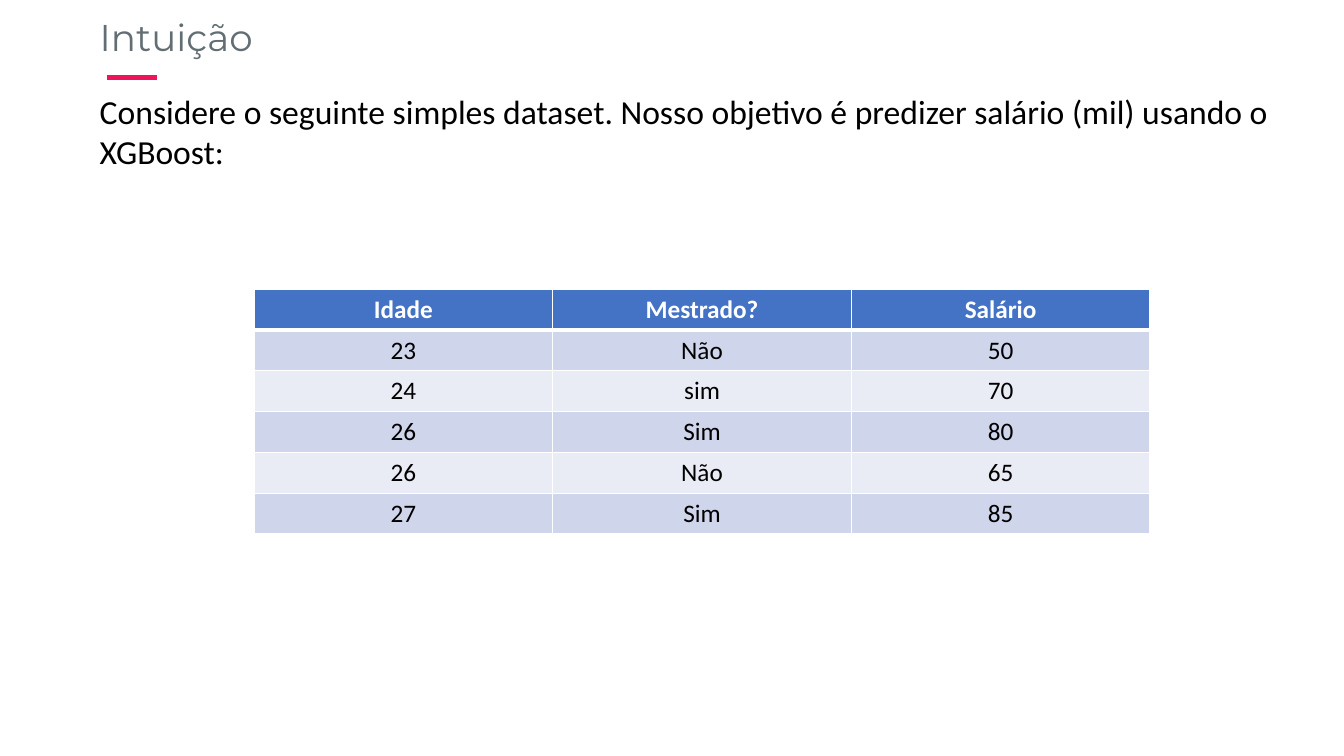
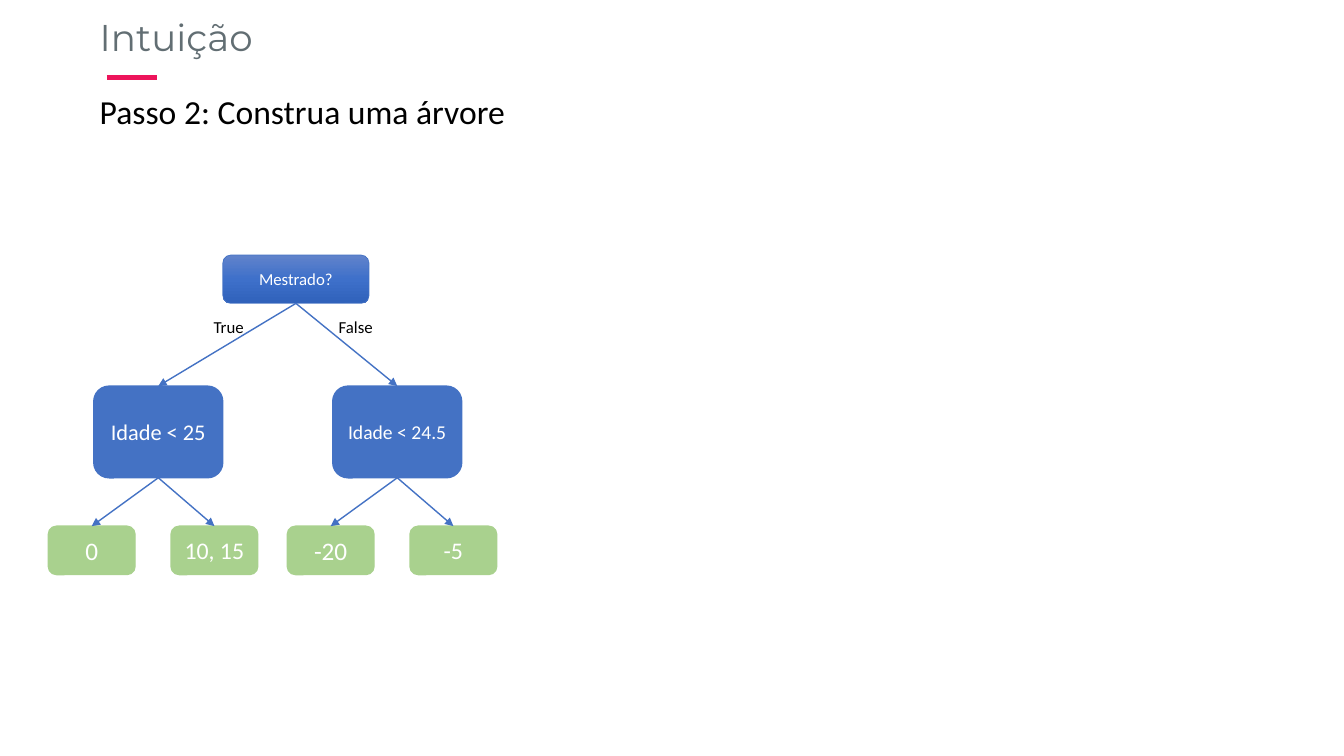
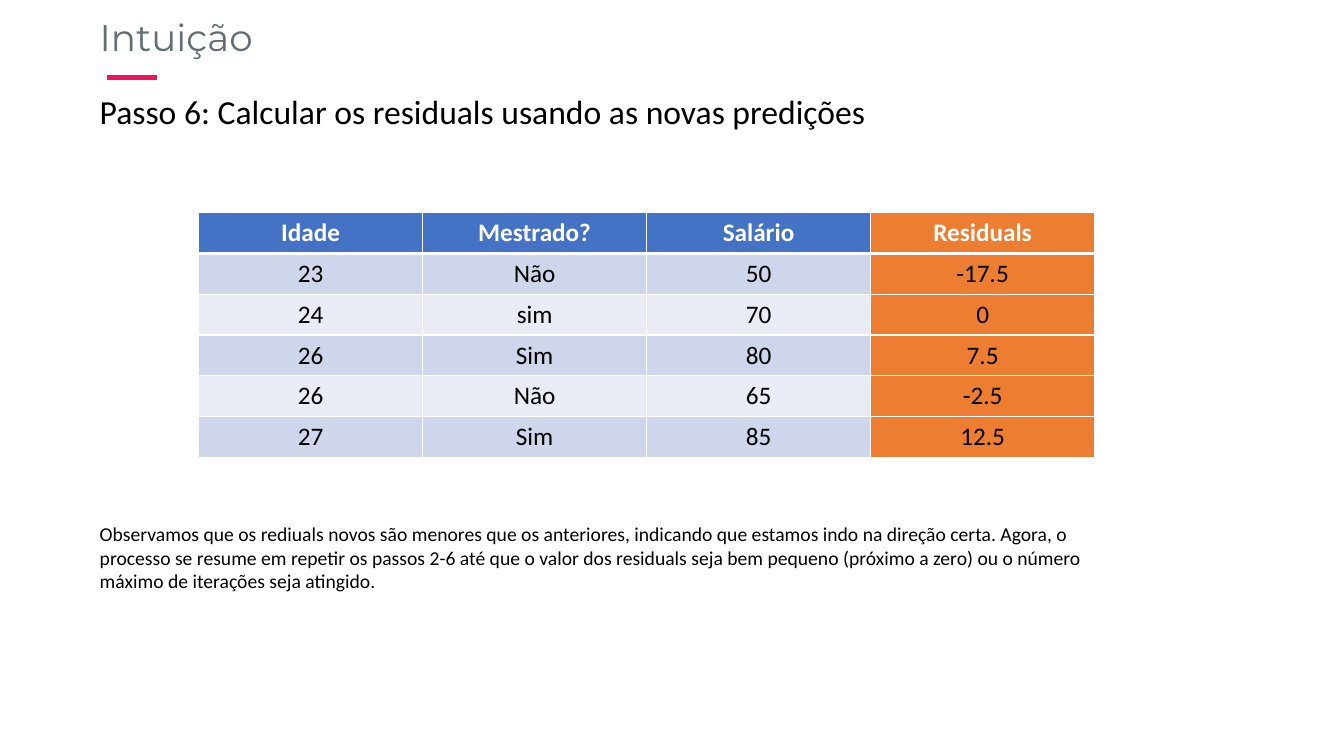
from copy import deepcopy
from dataclasses import dataclass
from typing import Any

from lxml import etree
from pptx import Presentation
from pptx.dml.color import RGBColor
from pptx.enum.shapes import MSO_CONNECTOR, MSO_SHAPE
from pptx.enum.text import MSO_ANCHOR, MSO_AUTO_SIZE, PP_ALIGN
from pptx.oxml.ns import qn
from pptx.util import Inches, Pt

LINE = MSO_CONNECTOR.STRAIGHT
ROUND = MSO_SHAPE.ROUNDED_RECTANGLE
MIDDLE = MSO_ANCHOR.MIDDLE
GROW = MSO_AUTO_SIZE.SHAPE_TO_FIT_TEXT
CENTER = PP_ALIGN.CENTER
TOP, BOTTOM = 0, 2
WIDE, HIGH = Inches(13.33), Inches(7.5)


@dataclass(frozen=True)
class Theme:
    head: str = "Montserrat"
    body: str = "Calibri"
    gray: str = "626E73"
    pink: str = "ED145B"
    black: str = "000000"
    white: str = "FFFFFF"
    blue: str = "4472C4"
    green: str = "A9D18E"
    orange: str = "ED7D31"
    bands: tuple[str, ...] = ("CFD5EA", "E9EBF5")
    shade: tuple[str, ...] = ("6183CB", "3E70CA", "3062BB")
    title: float = 26.6
    lead: float = 24
    cell: float = 18
    note: float = 14
    label: float = 12


@dataclass(frozen=True)
class Box:
    x: float
    y: float
    w: float
    h: float

    def place(self) -> tuple[int, int, int, int]:
        return across(self.x), down(self.y), across(self.w), down(self.h)


@dataclass(frozen=True)
class Node:
    text: str
    box: Box
    size: float
    color: str


@dataclass(frozen=True)
class Branch:
    node: Node
    leaves: tuple[tuple[str, float], ...]


THEME = Theme()
LEFT = 6.68
HEADS = ["Idade", "Mestrado?", "Salário"]
ROWS = [
    ["23", "Não", "50"],
    ["24", "sim", "70"],
    ["26", "Sim", "80"],
    ["26", "Não", "65"],
    ["27", "Sim", "85"],
]
EXTRA = ["Residuals", "-17.5", "0", "7.5", "-2.5", "12.5"]
NOTE = (
    "Observamos que os rediuals novos são menores que os anteriores, "
    "indicando que estamos indo na direção certa. Agora, o processo se resume "
    "em repetir os passos 2-6 até que o valor dos residuals seja bem pequeno "
    "(próximo a zero) ou o número máximo de iterações seja atingido."
)
ROOT = Node("Mestrado?", Box(16.58, 33.73, 10.88, 6.4), THEME.label, THEME.blue)
TREE = [
    Branch(Node("Idade < 25", Box(6.98, 51.07, 9.6, 12.13), 16, THEME.blue),
           (("0", 18), ("10, 15", 17))),
    Branch(Node("Idade < 24.5", Box(24.76, 51.07, 9.6, 12.13), 14, THEME.blue),
           (("-20", 18), ("-5", 17))),
]
SHIFTS = (-3.38, 5.75)
LABELS = [("True", Box(15.15, 41.2, 3.83, 4)), ("False", Box(24.46, 41.2, 4.8, 4))]


def across(share: float) -> int:
    return round(WIDE * share / 100)


def down(share: float) -> int:
    return round(HIGH * share / 100)


def rgb(color: str) -> RGBColor:
    return RGBColor.from_string(color)


def apply(item: Any, values: dict[str, Any]) -> None:
    for name, value in values.items():
        setattr(item, name, value)


def write(frame: Any, text: str, size: float, color: str,
          face: str = THEME.body, bold: bool = False, align: Any = None) -> None:
    part = frame.paragraphs[0]
    part.alignment = align
    run = part.add_run()
    run.text = text
    apply(run.font, {"name": face, "size": Pt(size), "bold": bold})
    run.font.color.rgb = rgb(color)


def add_text(slide: Any, text: str, box: Box, size: float,
             color: str = THEME.black, face: str = THEME.body,
             wrap: bool = True) -> None:
    frame = slide.shapes.add_textbox(*box.place()).text_frame
    apply(frame, {"word_wrap": wrap, "auto_size": GROW})
    write(frame, text, size, color, face)


def add_line(slide: Any, ends: tuple[int, int, int, int],
             color: str, width: float) -> Any:
    line = slide.shapes.add_connector(LINE, *ends)
    line.line.color.rgb = rgb(color)
    line.line.width = Pt(width)
    etree.SubElement(line._element.spPr, qn("a:effectLst"))
    return line


def link(slide: Any, start: Any, end: Any) -> None:
    line = add_line(slide, (0, 0, 0, 0), THEME.blue, 1)
    line.begin_connect(start, BOTTOM)
    line.end_connect(end, TOP)
    stroke = line._element.spPr.find(qn("a:ln"))
    etree.SubElement(stroke, qn("a:tailEnd"), type="triangle")


def add_node(slide: Any, node: Node) -> Any:
    shape = slide.shapes.add_shape(ROUND, *node.box.place())
    shape.shadow.inherit = False
    shape.fill.solid()
    shape.fill.fore_color.rgb = rgb(node.color)
    shape.line.color.rgb = rgb(node.color)
    shape.line.width = Pt(1)
    apply(shape.text_frame, {"word_wrap": False, "vertical_anchor": MIDDLE})
    write(shape.text_frame, node.text, node.size, THEME.white, align=CENTER)
    return shape


def blend(shape: Any, colors: tuple[str, ...]) -> None:
    shape.fill.gradient()
    shape.fill.gradient_angle = 270
    stops = shape._element.spPr.find(".//" + qn("a:gsLst"))
    stops.append(deepcopy(stops[0]))
    for index, (stop, color) in enumerate(zip(shape.fill.gradient_stops, colors)):
        stop.color.rgb = rgb(color)
        stop.position = index / (len(colors) - 1)


def edge(cell: Any, row: int) -> None:
    props = cell._tc.get_or_add_tcPr()
    widths = {"L": 1, "R": 1, "T": 3 if row == 1 else 1, "B": 3 if row == 0 else 1}
    for side, width in widths.items():
        line = etree.SubElement(props, qn("a:ln" + side), w=str(Pt(width)))
        fill = etree.SubElement(line, qn("a:solidFill"))
        etree.SubElement(fill, qn("a:srgbClr"), val=THEME.white)


def add_grid(slide: Any, rows: list[list[str]], box: Box) -> None:
    count = len(rows[0])
    table = slide.shapes.add_table(len(rows), count, *box.place()).table
    for r, row in enumerate(rows):
        for c, text in enumerate(row):
            cell = table.cell(r, c)
            edge(cell, r)
            fill = THEME.blue if r == 0 else THEME.bands[(r - 1) % 2]
            if c >= len(HEADS):
                fill = THEME.orange
            cell.fill.solid()
            cell.fill.fore_color.rgb = rgb(fill)
            write(cell.text_frame, text, THEME.cell,
                  THEME.white if r == 0 else THEME.black,
                  bold=r == 0, align=CENTER)


def add_tree(slide: Any) -> None:
    root = add_node(slide, ROOT)
    blend(root, THEME.shade)
    root.line.width = Pt(0.5)
    for branch in TREE:
        fork = add_node(slide, branch.node)
        link(slide, root, fork)
        for (text, size), shift in zip(branch.leaves, SHIFTS):
            box = Box(branch.node.box.x + shift, 69.6, 6.45, 6.4)
            leaf = add_node(slide, Node(text, box, size, THEME.green))
            link(slide, fork, leaf)
    for text, box in LABELS:
        add_text(slide, text, box, THEME.label, wrap=False)


def add_page(deck: Any, lead: str, high: float = 6.67) -> Any:
    slide = deck.slides.add_slide(deck.slide_layouts[6])
    add_text(slide, "Intuição", Box(LEFT, 1.2, 50, 7.33),
             THEME.title, THEME.gray, THEME.head)
    add_line(slide, (across(7.95), down(10.27), across(11.7), down(10.27)),
             THEME.pink, 4)
    add_text(slide, lead, Box(LEFT, 11.33, 91.07, high), THEME.lead)
    return slide


def main() -> None:
    deck = Presentation()
    apply(deck, {"slide_width": WIDE, "slide_height": HIGH})
    rows = [HEADS, *ROWS]

    slide = add_page(deck, "Considere o seguinte simples dataset. Nosso objetivo é "
                     "predizer salário (mil) usando o XGBoost:", 12.13)
    add_grid(slide, rows, Box(18.9, 38.27, 66.67, 32.4))

    add_tree(add_page(deck, "Passo 2: Construa uma árvore"))

    slide = add_page(deck, "Passo 6: Calcular os residuals usando as novas predições")
    add_text(slide, NOTE, Box(LEFT, 68.4, 76.9, 10.8), THEME.note)
    add_grid(slide, [[*row, last] for row, last in zip(rows, EXTRA)],
             Box(14.78, 28.13, 66.67, 32.4))

    deck.save("out.pptx")


if __name__ == "__main__":
    main()
